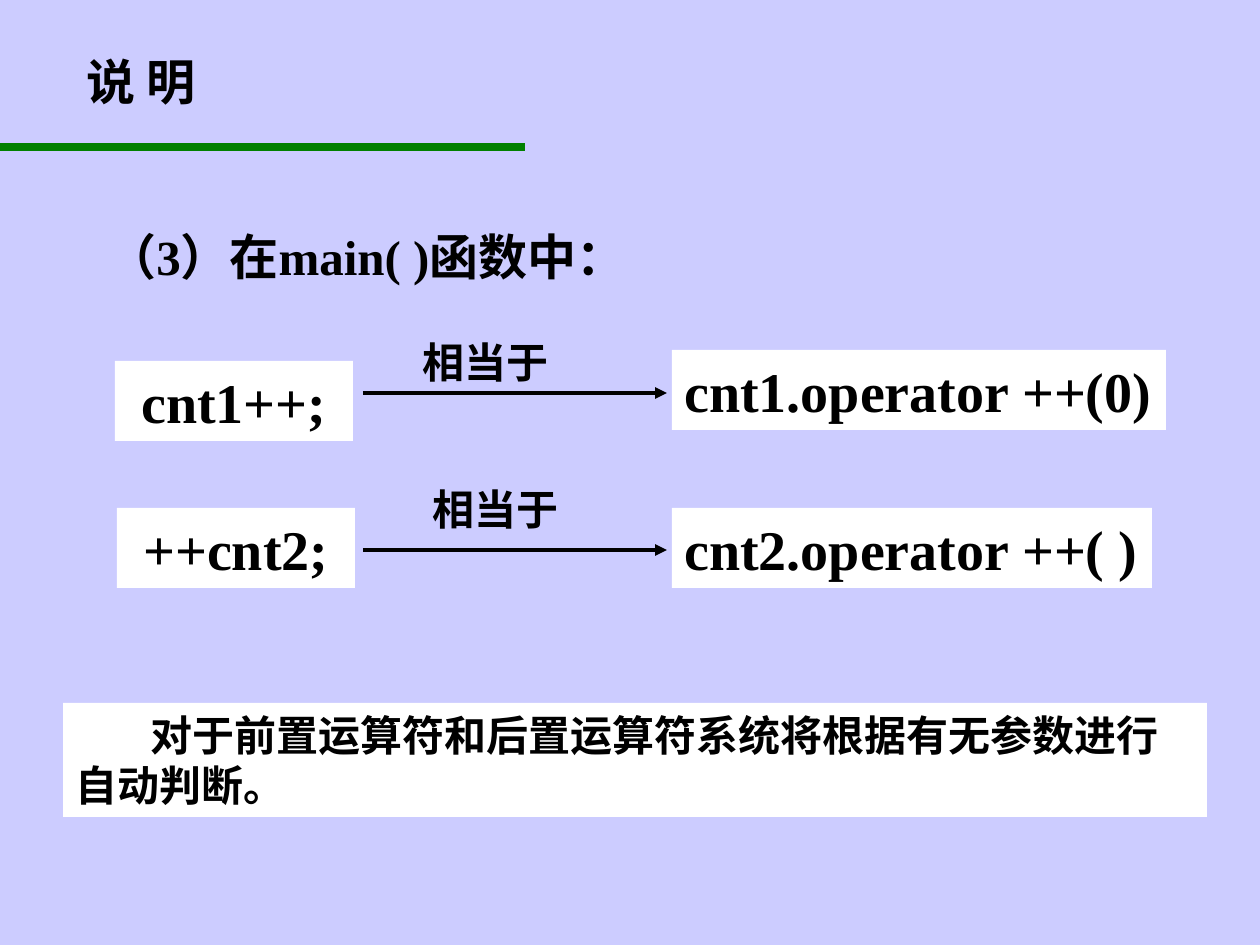
"""Builds the slide explaining prefix and postfix ++ calls in main()."""
from lxml import etree
from pptx import Presentation
from pptx.dml.color import RGBColor
from pptx.enum.shapes import MSO_CONNECTOR
from pptx.oxml.ns import qn
from pptx.util import Pt

PX = 914400 // 126
STRAIGHT = MSO_CONNECTOR.STRAIGHT
LAVENDER = RGBColor(0xCC, 0xCC, 0xFF)
GREEN = RGBColor(0x00, 0x80, 0x00)
BLACK = RGBColor(0x00, 0x00, 0x00)
WHITE = RGBColor(0xFF, 0xFF, 0xFF)
LATIN_FONT = "Times New Roman"
CHINESE_FONT = "Noto Sans CJK SC"

presentation = Presentation()
presentation.slide_width = 1260 * PX
presentation.slide_height = 945 * PX
slide = presentation.slides.add_slide(presentation.slide_layouts[6])
slide.background.fill.solid()
slide.background.fill.fore_color.rgb = LAVENDER


def add_text(text, box, size, fill=None, wrap=False, indent=0):
    label = slide.shapes.add_textbox(*(value * PX for value in box))
    if fill is not None:
        label.fill.solid()
        label.fill.fore_color.rgb = fill
    frame = label.text_frame
    frame.word_wrap = wrap
    frame.text = text
    paragraph = frame.paragraphs[0]
    if indent:
        paragraph._p.get_or_add_pPr().set("indent", str(indent * PX))
    font = paragraph.runs[0].font
    font.size = Pt(size)
    font.bold = True
    font.name = LATIN_FONT
    font.color.rgb = BLACK
    east_asian = etree.SubElement(font._element, qn("a:ea"))
    east_asian.set("typeface", CHINESE_FONT)


def add_line(left, right, y, color, width):
    line = slide.shapes.add_connector(STRAIGHT, left * PX, y * PX, right * PX, y * PX)
    line.line.color.rgb = color
    line.line.width = Pt(width)
    etree.SubElement(line._element.spPr, qn("a:effectLst"))
    return line


add_text("（3）在main( )函数中：", (95, 220, 672, 84), 28, wrap=True)
add_line(0, 525, 147, GREEN, 4.5)
add_text("说 明", (74, 45, 134, 72), 28)
add_text(
    "对于前置运算符和后置运算符系统将根据有无参数进行自动判断。",
    (63, 703, 1144, 114), 24, WHITE, wrap=True, indent=75,
)

calls = [
    ("cnt1++;", (115, 361, 238, 80), "cnt1.operator ++(0)", (672, 350, 494, 80), (410, 330), 393),
    ("++cnt2;", (117, 508, 238, 80), "cnt2.operator ++( )", (672, 508, 480, 80), (420, 477), 550),
]
for expression, expression_box, call, call_box, caption_corner, arrow_y in calls:
    add_text(expression, expression_box, 32, WHITE, indent=14)
    add_text(call, call_box, 32, WHITE)
    add_text("相当于", (*caption_corner, 151, 63), 24)
    arrow = add_line(363, 667, arrow_y, BLACK, 2.25)
    etree.SubElement(arrow.line._get_or_add_ln(), qn("a:tailEnd")).set("type", "triangle")

presentation.save("out.pptx")
